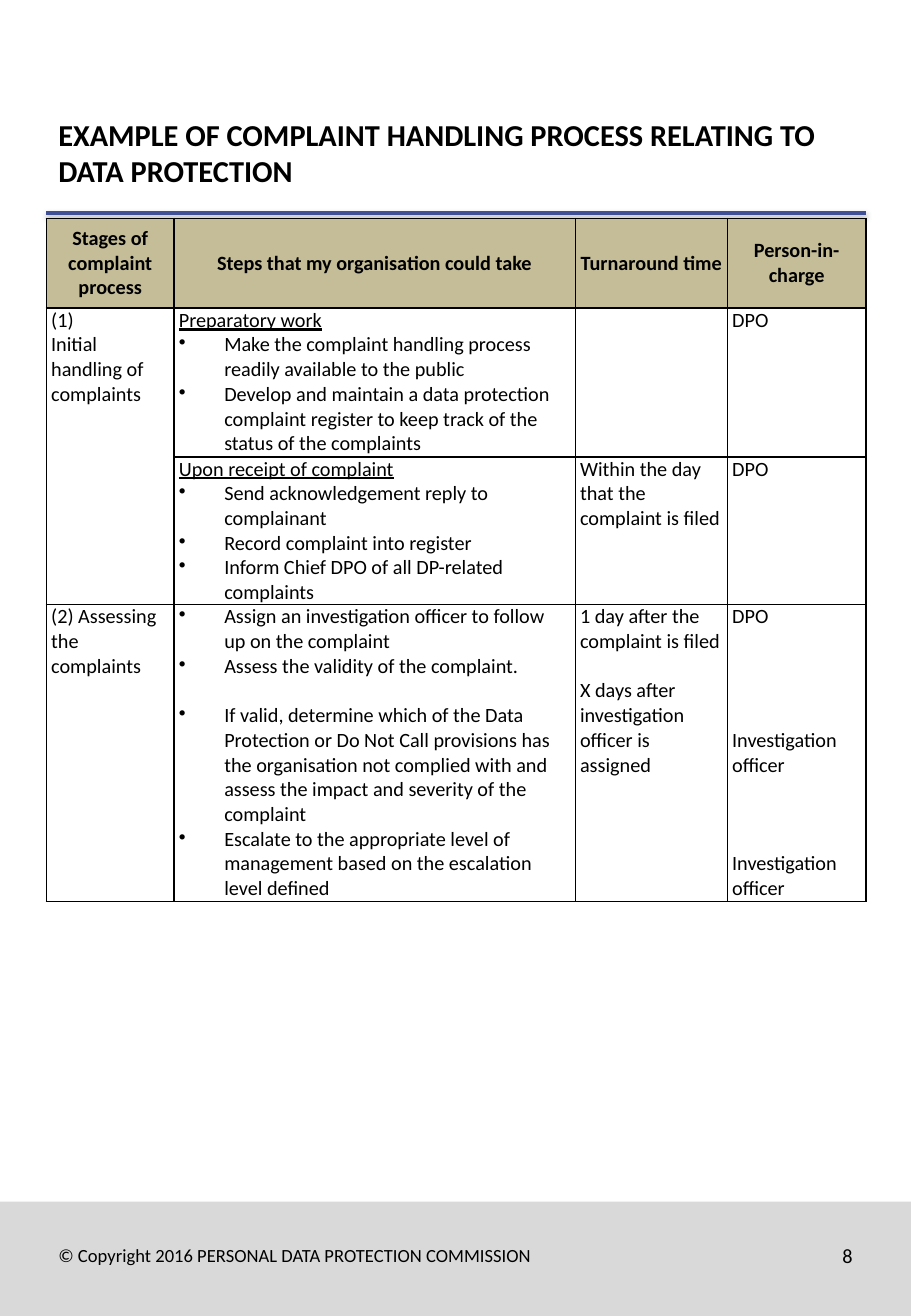
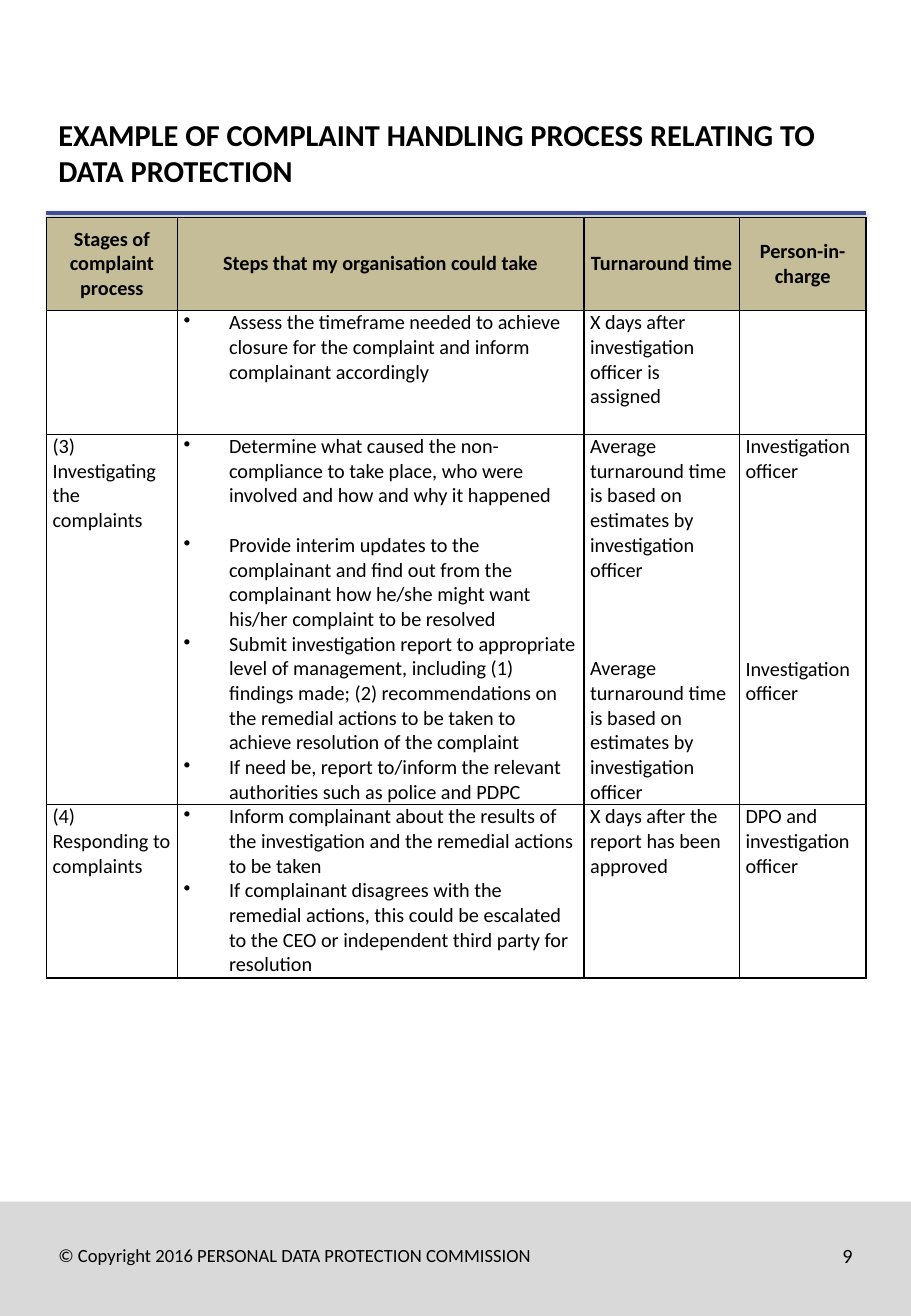
from dataclasses import dataclass

from lxml.etree import SubElement
from pptx import Presentation
from pptx.dml.color import RGBColor
from pptx.enum.shapes import MSO_CONNECTOR, MSO_SHAPE
from pptx.enum.text import MSO_ANCHOR as Anchor, PP_ALIGN as Align
from pptx.oxml import parse_xml
from pptx.oxml.ns import nsdecls, qn
from pptx.util import Cm, Pt

COLOURS = {
    "text": "000000",
    "rule": "3F5097",
    "footer": "D9D9D9",
    "header": "C4BD97",
    "cell": "FFFFFF",
    "border": "000000",
}
FONT = "Calibri"
PAGE_W, PAGE_H = 19.05, 27.51
LEFT, CONTENT_W = 0.97, 17.14
FOOTER_H = 2.39
LINE_PT = 14.65  # height of one 12 pt line
TITLE = "EXAMPLE OF COMPLAINT HANDLING PROCESS RELATING TO DATA PROTECTION"
COPYRIGHT = "© Copyright 2016 PERSONAL DATA PROTECTION COMMISSION"
HEADINGS = ["Stages of complaint process", "Steps that my organisation could take",
            "Turnaround time", "Person-in-charge"]


@dataclass
class Entry:
    """One paragraph of a table cell; gap counts the free lines above it."""
    text: str
    gap: int = 0
    bullet: bool = False
    underline: bool = False
    heading: bool = False


def step(text, gap=0):
    """Return a bulleted entry."""
    return Entry(text, gap, bullet=True)


def colour(name):
    """Return a named colour."""
    return RGBColor.from_string(COLOURS[name])


def format_runs(paragraph, size, bold=False, underline=False):
    """Apply the shared font to every run of a paragraph."""
    for run in paragraph.runs:
        run.font.name = FONT
        run.font.size = Pt(size)
        run.font.bold = bold
        run.font.underline = underline
        run.font.color.rgb = colour("text")


def add_label(slide, text, box, size, bold=False, align=Align.LEFT):
    """Place one vertically centred paragraph in box (left, top, width, height)."""
    frame = slide.shapes.add_textbox(*map(Cm, box)).text_frame
    frame.word_wrap = True
    frame.vertical_anchor = Anchor.MIDDLE
    frame.text = text
    frame.paragraphs[0].alignment = align
    format_runs(frame.paragraphs[0], size, bold)


def add_title(slide, box):
    """Place the title and the shadowed rule below it."""
    left, top, width, height = box
    add_label(slide, TITLE, box, 18, bold=True)
    rule_y = Cm(top + height + 0.36)
    rule = slide.shapes.add_connector(
        MSO_CONNECTOR.STRAIGHT, Cm(left), rule_y, Cm(left + width), rule_y)
    rule.line.color.rgb = colour("rule")
    rule.line.width = Pt(2)
    rule._element.spPr.append(parse_xml(
        f'<a:effectLst {nsdecls("a")}>'
        f'<a:outerShdw blurRad="{Pt(3.1)}" dist="{Pt(1.6)}" dir="5400000" rotWithShape="0">'
        '<a:srgbClr val="000000"><a:alpha val="38000"/></a:srgbClr>'
        '</a:outerShdw></a:effectLst>'))


def add_footer(slide, box, number):
    """Place the footer band with the copyright line and page number."""
    left, top, width, height = box
    band = slide.shapes.add_shape(MSO_SHAPE.RECTANGLE, *map(Cm, box))
    band.shadow.inherit = False
    band.fill.solid()
    band.fill.fore_color.rgb = colour("footer")
    band.line.fill.background()
    text_top, text_h, number_w = top + 0.38, 1.48, 4.45
    add_label(slide, COPYRIGHT, (left + LEFT, text_top, 10.44, text_h), 11)
    add_label(slide, str(number),
              (left + width - LEFT - number_w, text_top, number_w, text_h),
              12, align=Align.RIGHT)


def style_cell(cell, fill, margin):
    """Set borders, fill and margins of a cell."""
    properties = cell._tc.get_or_add_tcPr()
    for side in ("lnL", "lnR", "lnT", "lnB"):
        border = SubElement(properties, qn(f"a:{side}"), w=str(Pt(1)))
        solid = SubElement(border, qn("a:solidFill"))
        SubElement(solid, qn("a:srgbClr"), val=COLOURS["border"])
    cell.fill.solid()
    cell.fill.fore_color.rgb = colour(fill)
    cell.margin_left = cell.margin_right = Cm(margin)
    cell.margin_top = cell.margin_bottom = 0


def write_cell(cell, entries):
    """Write the entries of a cell, one paragraph each."""
    frame = cell.text_frame
    frame.text = "\n".join(entry.text for entry in entries)
    for paragraph, entry in zip(frame.paragraphs, entries):
        format_runs(paragraph, 12, entry.heading, entry.underline)
        if entry.heading:
            paragraph.alignment = Align.CENTER
            cell.vertical_anchor = Anchor.MIDDLE
        if entry.gap:
            paragraph.space_before = Pt(entry.gap * LINE_PT)
        if entry.bullet:
            properties = paragraph._p.get_or_add_pPr()
            properties.set("marL", str(Cm(0.95)))
            properties.set("indent", str(-Cm(0.95)))
            SubElement(properties, qn("a:buChar"), char="•")


def add_process_table(slide, box, columns, heights, rows, margin, merges=()):
    """Place the table of stages, steps, times and persons in box."""
    grid = [[[Entry(text, heading=True)] for text in HEADINGS], *rows]
    table = slide.shapes.add_table(len(grid), len(columns), *map(Cm, box)).table
    table.first_row = table.horz_banding = False
    for column, width in zip(table.columns, columns):
        column.width = Cm(width)
    for row, height in zip(table.rows, heights):
        row.height = Cm(height)
    for r, cells in enumerate(grid):
        for c, entries in enumerate(cells):
            cell = table.cell(r, c)
            style_cell(cell, "cell" if r else "header", margin)
            write_cell(cell, entries)
    for first, last in merges:
        table.cell(*first).merge(table.cell(*last))


def add_process_slide(deck, number, top, columns, heights, rows, margin, merges=()):
    """Build one page of the complaint handling process."""
    slide = deck.slides.add_slide(deck.slide_layouts[6])
    add_footer(slide, (0, PAGE_H - FOOTER_H, PAGE_W, FOOTER_H), number)
    add_title(slide, (LEFT, 2.29, CONTENT_W, 1.8))
    add_process_table(slide, (LEFT, top, CONTENT_W, sum(heights)),
                      columns, heights, rows, margin, merges)


DPO = Entry("DPO")
OFFICER = "Investigation officer"
ASSIGNED = "X days after investigation officer is assigned"
AVERAGE = "Average turnaround time is based on estimates by investigation officer"

FIRST_STAGES = [
    [[Entry("(1)"), Entry("Initial handling of complaints")],
     [Entry("Preparatory work", underline=True),
      step("Make the complaint handling process readily available to the public"),
      step("Develop and maintain a data protection complaint register to keep track "
           "of the status of the complaints")],
     [],
     [DPO]],
    [[],
     [Entry("Upon receipt of complaint", underline=True),
      step("Send acknowledgement reply to complainant"),
      step("Record complaint into register"),
      step("Inform Chief DPO of all DP-related complaints")],
     [Entry("Within the day that the complaint is filed")],
     [DPO]],
    [[Entry("(2) Assessing the complaints")],
     [step("Assign an investigation officer to follow up on the complaint"),
      step("Assess the validity of the complaint."),
      step("If valid, determine which of the Data Protection or Do Not Call provisions "
           "has the organisation not complied with and assess the impact and severity "
           "of the complaint", gap=1),
      step("Escalate to the appropriate level of management based on the escalation "
           "level defined")],
     [Entry("1 day after the complaint is filed"), Entry(ASSIGNED, gap=1)],
     [DPO, Entry(OFFICER, gap=4), Entry(OFFICER, gap=3)]],
]

LAST_STAGES = [
    [[],
     [step("Assess the timeframe needed to achieve closure for the complaint and "
           "inform complainant accordingly")],
     [Entry(ASSIGNED)],
     []],
    [[Entry("(3) Investigating the complaints")],
     [step("Determine what caused the non-compliance to take place, who were involved "
           "and how and why it happened"),
      step("Provide interim updates to the complainant and find out from the "
           "complainant how he/she might want his/her complaint to be resolved", gap=1),
      step("Submit investigation report to appropriate level of management, including "
           "(1) findings made; (2) recommendations on the remedial actions to be taken "
           "to achieve resolution of the complaint"),
      step("If need be, report to/inform the relevant authorities such as police "
           "and PDPC")],
     [Entry(AVERAGE), Entry(AVERAGE, gap=3)],
     [Entry(OFFICER), Entry(OFFICER, gap=7)]],
    [[Entry("(4) Responding to complaints")],
     [step("Inform complainant about the results of the investigation and the remedial "
           "actions to be taken"),
      step("If complainant disagrees with the remedial actions, this could be escalated "
           "to the CEO or independent third party for resolution")],
     [Entry("X days after the report has been approved")],
     [Entry("DPO and investigation officer")]],
]

deck = Presentation()
deck.slide_width, deck.slide_height = Cm(PAGE_W), Cm(PAGE_H)
add_process_slide(deck, 8, 4.57, [2.67, 8.39, 3.18, 2.9], [1.87, 3.11, 3.09, 6.2],
                  FIRST_STAGES, margin=0.1, merges=[((1, 0), (2, 0))])
add_process_slide(deck, 9, 4.55, [2.74, 8.5, 3.25, 2.65], [1.94, 2.59, 7.74, 3.62],
                  LAST_STAGES, margin=0.13)
deck.save("out.pptx")
